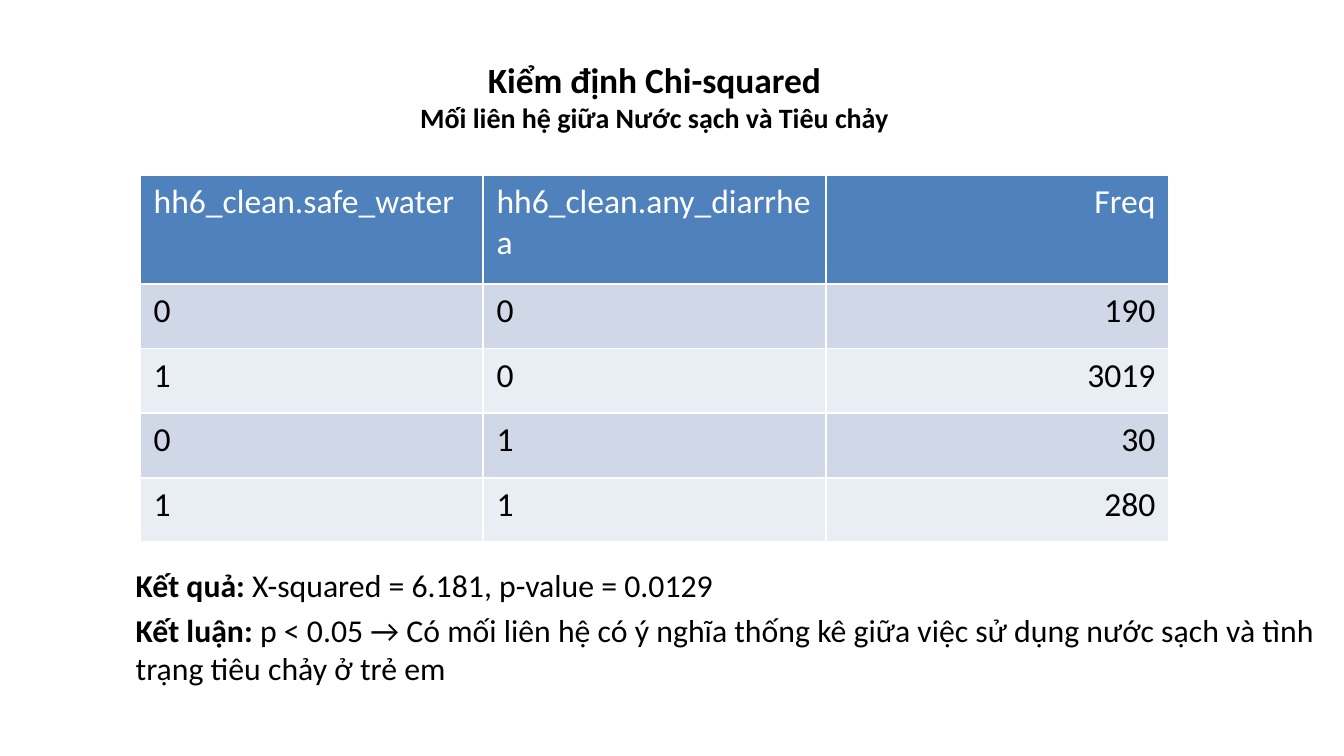
from pptx import Presentation, util as u
from pptx.dml.color import RGBColor
from pptx.enum import text
from pptx.oxml import parse_xml
from pptx.oxml.ns import nsdecls

HEADING = [("Kiểm định Chi-squared", 19), ("Mối liên hệ giữa Nước sạch và Tiêu chảy", 15)]
FREQUENCIES = [
    ("hh6_clean.safe_water", "hh6_clean.any_diarrhea", "Freq"),
    ("0", "0", "190"),
    ("1", "0", "3019"),
    ("0", "1", "30"),
    ("1", "1", "280"),
]
FINDINGS = [
    ("Kết quả:", " X-squared = 6.181, p-value = 0.0129"),
    ("Kết luận:", " p < 0.05 → Có mối liên hệ có ý nghĩa thống kê giữa việc sử dụng "
                  "nước sạch và tình trạng tiêu chảy ở trẻ em"),
]
HEADER_FILL, BAND_FILLS = "4F81BD", ("D0D8E8", "E9EDF4")
COLUMN_WIDTH, HEADER_HEIGHT, ROW_HEIGHT = 6.48, 2.06, 1.22


def color(target, value):
    target.rgb = RGBColor.from_string(value)


def style(font, size, ink="000000"):
    font.name = "Calibri"
    font.size = u.Pt(size)
    color(font.color, ink)


def place(shape, left, top, width, height):
    shape.left, shape.top, shape.width, shape.height = map(u.Cm, (left, top, width, height))


deck = Presentation()
deck.slide_width, deck.slide_height = u.Cm(25.4), u.Cm(14.29)
slide = deck.slides.add_slide(deck.slide_layouts[1])

title, findings = slide.shapes.title, slide.placeholders[1]
place(title, 7.34, 0.6, 10.06, 2.06)
title.text_frame.vertical_anchor = text.MSO_ANCHOR.BOTTOM
title.text_frame.auto_size = text.MSO_AUTO_SIZE.NONE
heading = title.text_frame.paragraphs[0]
heading.alignment = text.PP_ALIGN.CENTER
heading.font.bold = True
for i, (line, size) in enumerate(HEADING):
    if i:
        heading.add_line_break()
    run = heading.add_run()
    run.text = line
    run.font.bold = True
    style(run.font, size)

rows, columns = len(FREQUENCIES), len(FREQUENCIES[0])
table = slide.shapes.add_table(
    rows, columns, u.Cm(2.65), u.Cm(3.31), u.Cm(columns * COLUMN_WIDTH),
    u.Cm(HEADER_HEIGHT + (rows - 1) * ROW_HEIGHT)).table
for column in table.columns:
    column.width = u.Cm(COLUMN_WIDTH)
for r, values in enumerate(FREQUENCIES):
    table.rows[r].height = u.Cm(ROW_HEIGHT if r else HEADER_HEIGHT)
    for c, value in enumerate(values):
        cell = table.cell(r, c)
        cell.text = value
        cell.fill.solid()
        color(cell.fill.fore_color, BAND_FILLS[(r - 1) % 2] if r else HEADER_FILL)
        entry = cell.text_frame.paragraphs[0]
        entry.alignment = text.PP_ALIGN.RIGHT if c == columns - 1 else text.PP_ALIGN.LEFT
        style(entry.runs[0].font, 18, "000000" if r else "FFFFFF")
        entry.runs[0].font.bold = False

place(findings, 2.31, 10.57, 22.86, 3.7)
findings.text_frame.auto_size = text.MSO_AUTO_SIZE.NONE
for i, (label, statement) in enumerate(FINDINGS):
    finding = findings.text_frame.add_paragraph() if i else findings.text_frame.paragraphs[0]
    properties = finding._p.get_or_add_pPr()
    properties.set("marL", "0")
    properties.set("indent", "0")
    properties.append(parse_xml(f"<a:buNone {nsdecls('a')}/>"))
    finding.space_before = u.Pt(3.4 if i else 0)
    style(finding.font, 17)
    for part, bold in ((label, True), (statement, False)):
        run = finding.add_run()
        run.text = part
        run.font.bold = bold
        style(run.font, 17)

deck.save("out.pptx")
